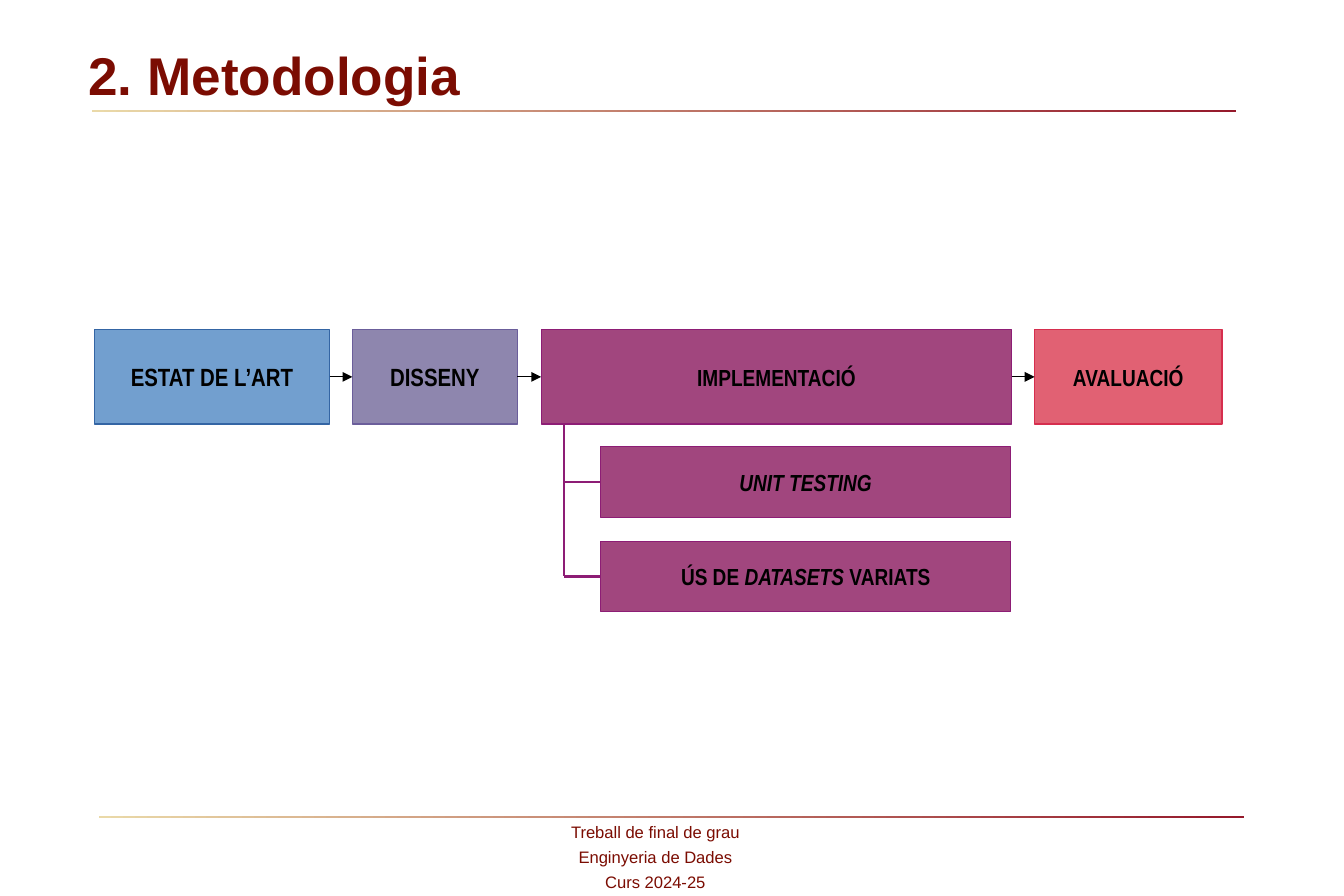
from dataclasses import dataclass
from itertools import pairwise

from pptx import Presentation
from pptx.dml.color import RGBColor
from pptx.enum.dml import MSO_LINE
from pptx.enum.shapes import MSO_CONNECTOR, MSO_SHAPE
from pptx.enum.text import MSO_ANCHOR, PP_ALIGN
from pptx.oxml.ns import qn
from pptx.slide import Slide
from pptx.text.text import Font
from pptx.util import Inches, Pt
from lxml.etree import SubElement

COLORS = {
    "title": "7B0C02", "black": "000000", "gold": "EAD9A8", "garnet": "95192B",
    "blue": "729FCF", "blue_line": "3465A4",
    "violet": "8E86AE", "violet_line": "6B5E9B",
    "purple": "A1467E", "purple_line": "8D1D75",
    "red": "E16173", "red_line": "D62E4E",
}
STAGE_TOP, STAGE_HEIGHT = 2.76, 0.79
TASK_LEFT, TASK_WIDTH, TASK_HEIGHT = 5.03, 3.43, 0.59
TRUNK_X = 4.72


@dataclass
class Span:
    text: str
    italic: bool = False


@dataclass
class Block:
    spans: list[Span]
    left: float
    top: float
    width: float
    height: float
    color: str
    size: int = 14

    @property
    def right(self) -> float:
        return self.left + self.width

    @property
    def middle(self) -> float:
        return self.top + self.height / 2


def stage(text: str, left: float, width: float, color: str, size: int = 14) -> Block:
    return Block([Span(text)], left, STAGE_TOP, width, STAGE_HEIGHT, color, size)


def task(spans: list[Span], top: float) -> Block:
    return Block(spans, TASK_LEFT, top, TASK_WIDTH, TASK_HEIGHT, "purple")


STAGES = [
    stage("ESTAT DE L’ART", 0.79, 1.97, "blue", 15),
    stage("DISSENY", 2.95, 1.38, "violet", 15),
    stage("IMPLEMENTACIÓ", 4.53, 3.94, "purple"),
    stage("AVALUACIÓ", 8.66, 1.57, "red"),
]
TASKS = [
    task([Span("UNIT TESTING", italic=True)], 3.74),
    task([Span("ÚS DE "), Span("DATASETS", italic=True), Span(" VARIATS")], 4.53),
]
FOOTER = ["Treball de final de grau", "Enginyeria de Dades", "Curs 2024-25"]


def rgb(name: str) -> RGBColor:
    return RGBColor.from_string(COLORS[name])


def style(font: Font, name: str, size: int, color: str, bold: bool = False) -> None:
    font.name, font.size, font.bold = name, Pt(size), bold
    font.color.rgb = rgb(color)


def add_title(page: Slide) -> None:
    title = page.shapes.title
    title.left, title.top = Inches(0.64), Inches(0)
    title.width, title.height = Inches(10.42), Inches(1.25)
    frame = title.text_frame
    frame.text = "2. Metodologia"
    frame.vertical_anchor = MSO_ANCHOR.MIDDLE
    paragraph = frame.paragraphs[0]
    paragraph.alignment = PP_ALIGN.LEFT
    style(paragraph.runs[0].font, "Arial", 32, "title", bold=True)


def add_rule(page: Slide, left: float, top: float) -> None:
    rule = page.shapes.add_shape(
        MSO_SHAPE.RECTANGLE, Inches(left), Inches(top), Inches(9.58), Inches(0.02))
    rule.shadow.inherit = False
    rule.line.fill.background()
    rule.fill.gradient()
    rule.fill.gradient_angle = 0
    for stop, position, color in zip(rule.fill.gradient_stops, (0, 1), ("gold", "garnet")):
        stop.position = position
        stop.color.rgb = rgb(color)


def add_footer(page: Slide) -> None:
    box = page.shapes.add_textbox(Inches(4.68), Inches(6.83), Inches(1.61), Inches(0.67))
    frame = box.text_frame
    frame.word_wrap = False
    frame.text = "\n".join(FOOTER)
    for index, paragraph in enumerate(frame.paragraphs):
        paragraph.alignment = PP_ALIGN.CENTER
        paragraph.space_before = Pt(1.6 if index else 0)
        paragraph.space_after = Pt(1.6)
        style(paragraph.runs[0].font, "Arial", 10, "title")


def add_block(page: Slide, block: Block) -> None:
    box = page.shapes.add_shape(
        MSO_SHAPE.RECTANGLE, Inches(block.left), Inches(block.top),
        Inches(block.width), Inches(block.height))
    box.shadow.inherit = False
    box.fill.solid()
    box.fill.fore_color.rgb = rgb(block.color)
    box.line.color.rgb = rgb(f"{block.color}_line")
    box.line.width = Pt(0.75)
    frame = box.text_frame
    frame.word_wrap = True
    frame.vertical_anchor = MSO_ANCHOR.MIDDLE
    paragraph = frame.paragraphs[0]
    paragraph.alignment = PP_ALIGN.CENTER
    for span in block.spans:
        run = paragraph.add_run()
        run.text = span.text
        style(run.font, "Arial Narrow", block.size, "black", bold=True)
        run.font.italic = span.italic


def add_line(page: Slide, start: tuple[float, float], end: tuple[float, float],
             color: str, width: float, arrow: bool = False) -> None:
    line = page.shapes.add_connector(
        MSO_CONNECTOR.STRAIGHT, *(Inches(value) for value in start + end))
    line.line.color.rgb = rgb(color)
    line.line.width = Pt(width)
    line.line.dash_style = MSO_LINE.SOLID
    properties = line._element.spPr
    if arrow:
        SubElement(properties.find(qn("a:ln")), qn("a:tailEnd"), type="triangle")
    SubElement(properties, qn("a:effectLst"))


def main() -> None:
    deck = Presentation()
    deck.slide_width, deck.slide_height = Inches(11.25), Inches(7.5)
    page = deck.slides.add_slide(deck.slide_layouts[5])
    add_title(page)
    add_rule(page, 0.77, 0.92)
    add_rule(page, 0.83, 6.83)
    add_footer(page)
    for block in STAGES + TASKS:
        add_block(page, block)

    trunk_top = STAGE_TOP + STAGE_HEIGHT
    add_line(page, (TRUNK_X, trunk_top), (TRUNK_X, TASKS[-1].middle), "purple_line", 1.5)
    for block in TASKS:
        add_line(page, (TRUNK_X, block.middle), (block.left, block.middle),
                 "purple_line", 1.5)
    for before, after in pairwise(STAGES):
        add_line(page, (before.right, before.middle), (after.left, after.middle),
                 "black", 0.75, arrow=True)
    deck.save("out.pptx")


if __name__ == "__main__":
    main()
